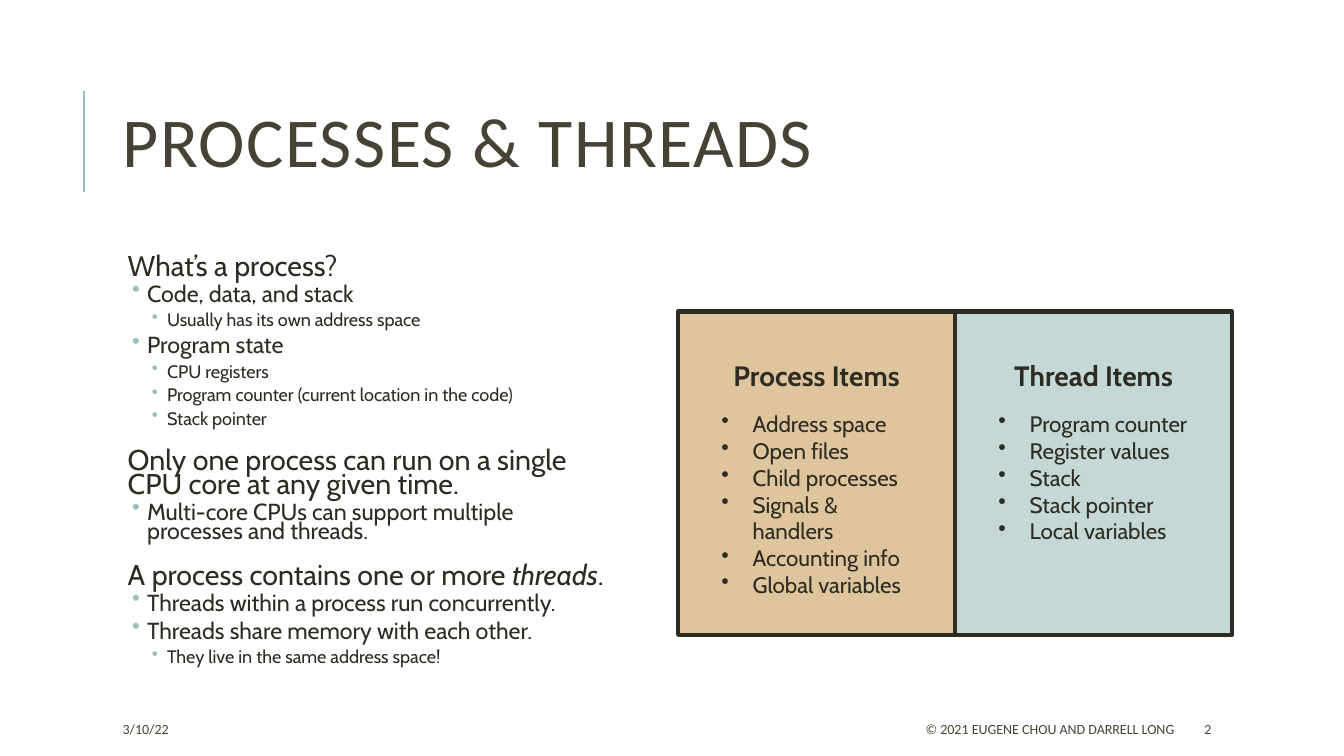
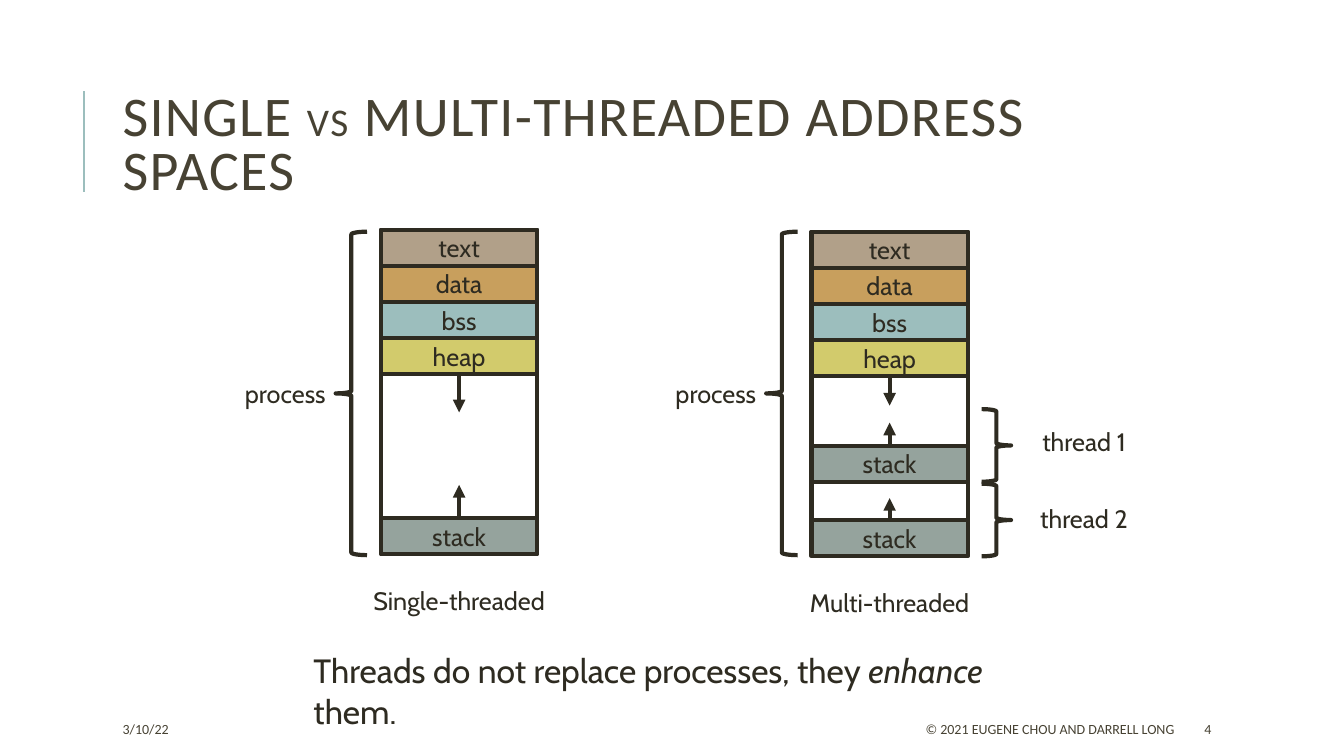
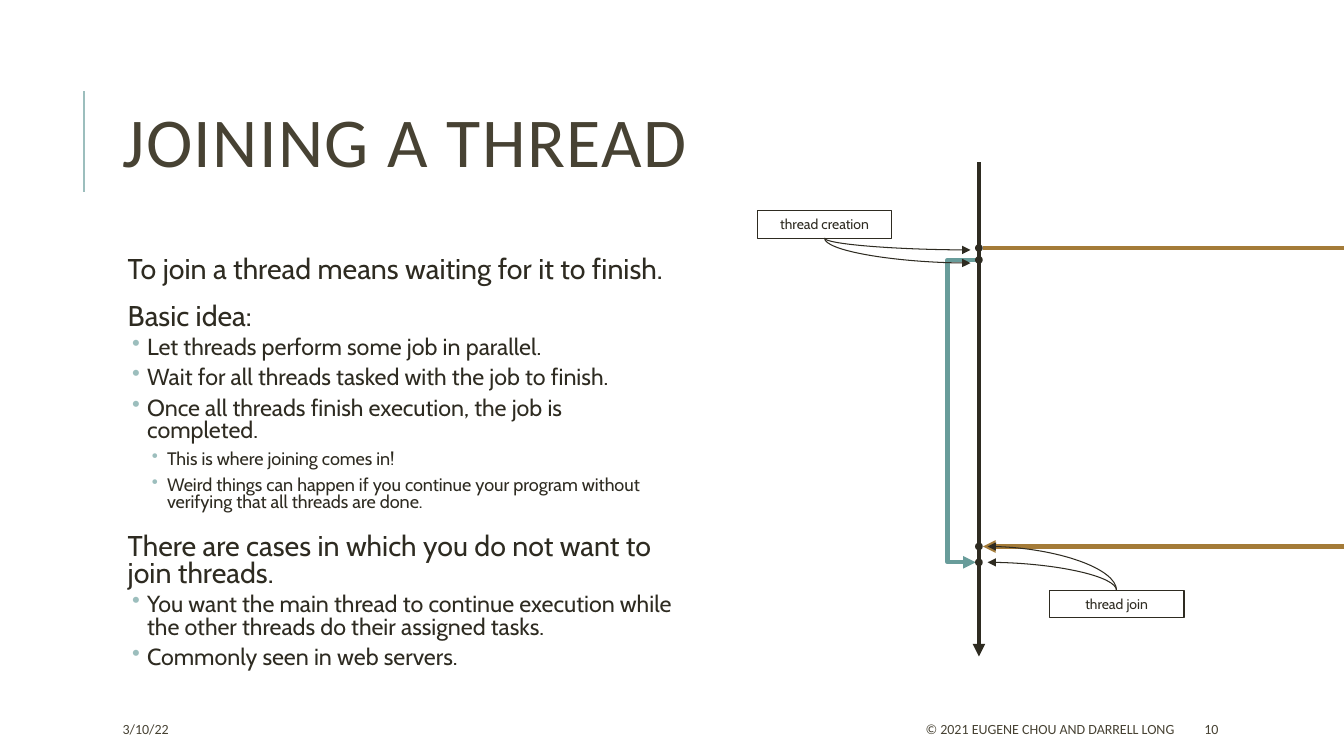
from lxml.etree import SubElement
from pptx import Presentation
from pptx.dml.color import RGBColor
from pptx.enum.shapes import MSO_CONNECTOR, MSO_SHAPE
from pptx.enum.text import MSO_ANCHOR, PP_ALIGN
from pptx.oxml.ns import qn
from pptx.util import Cm, Pt

INK = "2E2B21"
TITLE = "474233"
ACCENT = "9CBEBD"
TEAL = "689C9A"
BROWN = "A47B38"
STACK = "95A39D"
SEGMENTS = [("text", "B1A089"), ("data", "C89F5D"), ("bss", ACCENT), ("heap", "D2CB6C")]
OUTLINE_LEVELS = [
    {"size": 20.4, "margin": 0.25, "hang": 0, "before": 12, "after": 2},
    {"size": 16.6, "margin": 0.74, "hang": 0.38, "before": 2, "after": 4},
    {"size": 12.9, "margin": 1.24, "hang": 0.38, "before": 2, "after": 4},
]
BAND = 0.91
COLUMN_WIDTH = 3.94
COLUMN_HEIGHT = 8.15


def color(value):
    return RGBColor.from_string(value)


def apply(target, values):
    for name, value in values.items():
        setattr(target, name, value)


class Deck:
    def __init__(self):
        self.deck = Presentation()
        apply(self.deck, {"slide_width": Cm(33.87), "slide_height": Cm(19.05)})
        self.page = None

    def add_page(self, title, number):
        self.page = self.deck.slides.add_slide(self.deck.slide_layouts[6])
        self.line((2.12, 4.83), (2.12, 2.29), ACCENT, 1.5)
        heading = self.text((2.84, 1.63, 27, 4.17), title, size=50, font="Calibri",
                            ink=TITLE, anchor=MSO_ANCHOR.MIDDLE)
        paragraph = heading.text_frame.paragraphs[0]
        paragraph.line_spacing = 0.8
        for span in paragraph.runs:
            span.font._element.set("spc", "100")
        for left, width, words, align in (
            (2.84, 5.99, "3/10/22", PP_ALIGN.LEFT),
            (13.46, 16.38, "© 2021 EUGENE CHOU AND DARRELL LONG", PP_ALIGN.RIGHT),
            (30.1, 2.69, str(number), PP_ALIGN.LEFT),
        ):
            self.text((left, 17.98, width, 0.76), words, size=10, font="Calibri",
                      ink=TITLE, align=align, anchor=MSO_ANCHOR.MIDDLE)

    def add_words(self, paragraph, words, size=18, font="Cabin", ink=INK, bold=False,
                  align=PP_ALIGN.LEFT):
        paragraph.alignment = align
        spans = [(words, {})] if isinstance(words, str) else words
        for content, changes in spans:
            span = paragraph.add_run()
            span.text = content
            apply(span.font, {"size": Pt(size), "name": font, "bold": bold, **changes})
            span.font.color.rgb = color(ink)

    def text(self, place, words, anchor=MSO_ANCHOR.TOP, **style):
        box = self.page.shapes.add_textbox(*map(Cm, place))
        apply(box.text_frame, {"word_wrap": True, "vertical_anchor": anchor})
        self.add_words(box.text_frame.paragraphs[0], words, **style)
        return box

    def label(self, place, words):
        return self.text(place, words, align=PP_ALIGN.CENTER)

    def bullet(self, paragraph, margin, hang, ink):
        properties = paragraph._p.get_or_add_pPr()
        properties.set("marL", str(Cm(margin)))
        properties.set("indent", str(-Cm(hang)))
        if hang:
            tint = SubElement(properties, qn("a:buClr"))
            SubElement(tint, qn("a:srgbClr")).set("val", ink)
            SubElement(properties, qn("a:buChar")).set("char", "•")
        else:
            SubElement(properties, qn("a:buNone"))

    def paragraphs(self, box, count):
        frame = box.text_frame
        return [frame.paragraphs[0]] + [frame.add_paragraph() for _ in range(count - 1)]

    def outline(self, width, spacing, items):
        box = self.page.shapes.add_textbox(*map(Cm, (2.84, 6.35, width, 11.18)))
        sides = ("left", "top", "right", "bottom")
        apply(box.text_frame, {"word_wrap": True,
                               **{f"margin_{side}": Cm(0.13) for side in sides}})
        for index, (paragraph, (level, words)) in enumerate(
                zip(self.paragraphs(box, len(items)), items)):
            style = OUTLINE_LEVELS[level]
            self.bullet(paragraph, style["margin"], style["hang"], ACCENT)
            apply(paragraph, {"line_spacing": spacing,
                              "space_before": Pt(style["before"] if index else 0),
                              "space_after": Pt(style["after"])})
            self.add_words(paragraph, words, size=style["size"])

    def bullets(self, place, items):
        box = self.page.shapes.add_textbox(*map(Cm, place))
        box.text_frame.word_wrap = True
        for paragraph, words in zip(self.paragraphs(box, len(items)), items):
            self.bullet(paragraph, 0.79, 0.79, INK)
            self.add_words(paragraph, words, size=16)

    def shape(self, place, kind=MSO_SHAPE.RECTANGLE, fill=None, weight=3, words=None,
              **style):
        shape = self.page.shapes.add_shape(kind, *map(Cm, place))
        shape.shadow.inherit = False
        if fill:
            shape.fill.solid()
            shape.fill.fore_color.rgb = color(fill)
        else:
            shape.fill.background()
        shape.line.color.rgb = color(INK)
        shape.line.width = Pt(weight)
        if words:
            shape.text_frame.vertical_anchor = MSO_ANCHOR.MIDDLE
            self.add_words(shape.text_frame.paragraphs[0], words, align=PP_ALIGN.CENTER,
                           **style)
        return shape

    def line(self, start, end, ink=INK, weight=3, arrow=None, kind=MSO_CONNECTOR.STRAIGHT):
        line = self.page.shapes.add_connector(kind, *map(Cm, start + end))
        line.line.color.rgb = color(ink)
        line.line.width = Pt(weight)
        if arrow:
            SubElement(line.line._get_or_add_ln(), qn(f"a:{arrow}")).set("type", "triangle")
        SubElement(line._element.spPr, qn("a:effectLst"))
        return line

    def elbow(self, start, end, turn, ink):
        line = self.line(start, end, ink, arrow="tailEnd", kind=MSO_CONNECTOR.ELBOW)
        ratio = (turn - start[0]) / (end[0] - start[0])
        guides = line._element.spPr.find(qn("a:prstGeom")).get_or_add_avLst()
        guide = SubElement(guides, qn("a:gd"))
        guide.set("name", "adj1")
        guide.set("fmla", f"val {round(ratio * 100000)}")

    def curve(self, tip, root):
        line = self.line(tip, root, weight=0.75, arrow="headEnd", kind=MSO_CONNECTOR.CURVE)
        line._element.spPr.find(qn("a:prstGeom")).set("prst", "curvedConnector2")

    def item_panel(self, left, fill, heading, items):
        panel = self.shape((left, 7.85, 6.98, 8.15), fill=fill, words=heading,
                           size=20, bold=True)
        apply(panel.text_frame, {"vertical_anchor": MSO_ANCHOR.TOP, "margin_top": Cm(1.18)})
        self.bullets((left + 0.84, 10.21, 5.28, 5.82), items)

    def address_space(self, left, top, caption, stacks, heap_arrow):
        middle = left + COLUMN_WIDTH / 2
        self.shape((left, top, COLUMN_WIDTH, COLUMN_HEIGHT), fill="FFFFFF")
        self.label((left - 0.62, top + 8.84, 5.18, 1.02), caption)
        self.shape((left - 1.14, 5.84, 0.79, COLUMN_HEIGHT), MSO_SHAPE.LEFT_BRACE)
        self.label((left - 3.87, 9.4, 2.92, 1.02), "process")
        bands = [(top + index * BAND, *segment) for index, segment in enumerate(SEGMENTS)]
        bands += [(stack_top, "stack", STACK) for stack_top, _ in stacks]
        for band_top, words, fill in bands:
            self.shape((left, band_top, COLUMN_WIDTH, BAND), fill=fill, words=words)
        heap_end = top + len(SEGMENTS) * BAND
        self.line((middle, heap_end), (middle, heap_end + heap_arrow), arrow="tailEnd")
        for stack_top, length in stacks:
            self.line((middle, stack_top), (middle, stack_top - length), arrow="tailEnd")


def processes_and_threads(deck):
    deck.add_page("PROCESSES & THREADS", 2)
    deck.outline(12.52, 0.7, [
        (0, "What’s a process?"),
        (1, "Code, data, and stack"),
        (2, "Usually has its own address space"),
        (1, "Program state"),
        (2, "CPU registers"),
        (2, "Program counter (current location in the code)"),
        (2, "Stack pointer"),
        (0, "Only one process can run on a single CPU core at any given time."),
        (1, "Multi-core CPUs can support multiple processes and threads."),
        (0, [("A process contains one or more ", {}), ("threads", {"italic": True}), (".", {})]),
        (1, "Threads within a process run concurrently."),
        (1, "Threads share memory with each other."),
        (2, "They live in the same address space!"),
    ])
    deck.item_panel(17.09, "DEC59E", "Process Items", [
        "Address space", "Open files", "Child processes", "Signals & handlers",
        "Accounting info", "Global variables"])
    deck.item_panel(24.07, "C4D8D7", "Thread Items", [
        "Program counter", "Register values", "Stack", "Stack pointer", "Local variables"])


def address_spaces(deck):
    deck.add_page([("SINGLE ", {"size": Pt(40)}), ("VS", {"size": Pt(28)}),
                   (" MULTI-THREADED ADDRESS SPACES", {"size": Pt(40)})], 4)
    deck.text((7.65, 16.26, 19.41, 1.27), [
        ("Threads do not replace processes, they ", {}), ("enhance ", {"italic": True}),
        ("them.", {})], size=24)
    deck.address_space(9.6, 5.79, "Single-threaded", [(13.06, 0.84)], 0.96)
    deck.address_space(20.45, 5.84, "Multi-threaded", [(13.11, 0.56), (11.23, 0.58)], 0.74)
    for words, brace_top, label_top in (("thread 1", 10.31, 10.62), ("thread 2", 12.19, 12.57)):
        deck.shape((24.74, brace_top, 0.74, 1.83), MSO_SHAPE.RIGHT_BRACE)
        deck.label((25.48, label_top, 3.68, 1.02), words)


def joining_a_thread(deck):
    deck.add_page("JOINING A THREAD", 10)
    deck.outline(14.33, 0.8, [
        (0, "To join a thread means waiting for it to finish."),
        (0, "Basic idea:"),
        (1, "Let threads perform some job in parallel."),
        (1, "Wait for all threads tasked with the job to finish."),
        (1, "Once all threads finish execution, the job is completed."),
        (2, "This is where joining comes in!"),
        (2, "Weird things can happen if you continue your program without verifying "
            "that all threads are done."),
        (0, "There are cases in which you do not want to join threads."),
        (1, "You want the main thread to continue execution while the other threads do "
            "their assigned tasks."),
        (1, "Commonly seen in web servers."),
    ])
    axis, edge, dot = 24.67, 33.87, 0.15
    first_start, second_start, first_join, second_join = 6.25, 6.55, 13.77, 14.17
    deck.line((axis, 4.09), (axis, 16.54), arrow="tailEnd")
    deck.line((axis + 0.1, first_start), (edge, first_start), BROWN)
    deck.line((edge, first_join), (axis + 0.1, first_join), BROWN, arrow="tailEnd")
    deck.elbow((24.64, second_start), (24.59, second_join), 23.88, TEAL)
    for level in (first_start, second_start, first_join, second_join):
        deck.shape((axis - dot / 2, level - dot / 2, dot, dot), MSO_SHAPE.OVAL,
                   fill=INK, weight=1.25)
    for words, left, top, root, tip, levels in (
        ("thread creation", 19.08, 5.31, 6, 24.46, (6.3, 6.63)),
        ("thread join", 26.44, 14.88, 14.88, 24.89, (second_join, first_join)),
    ):
        deck.shape((left, top, 3.4, 0.69), weight=0.75, words=words, size=10)
        for level in levels:
            deck.curve((tip, level), (left + 1.7, root))


def main():
    deck = Deck()
    processes_and_threads(deck)
    address_spaces(deck)
    joining_a_thread(deck)
    deck.deck.save("out.pptx")


if __name__ == "__main__":
    main()
